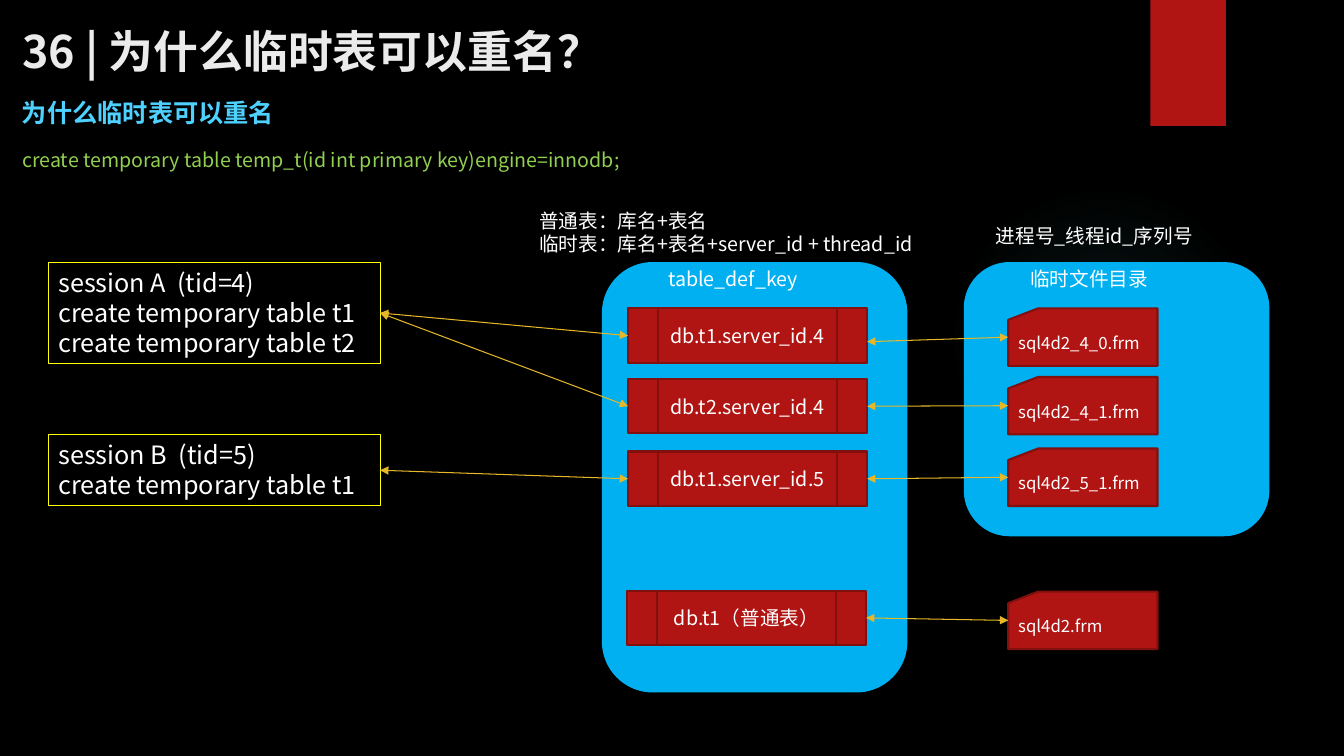
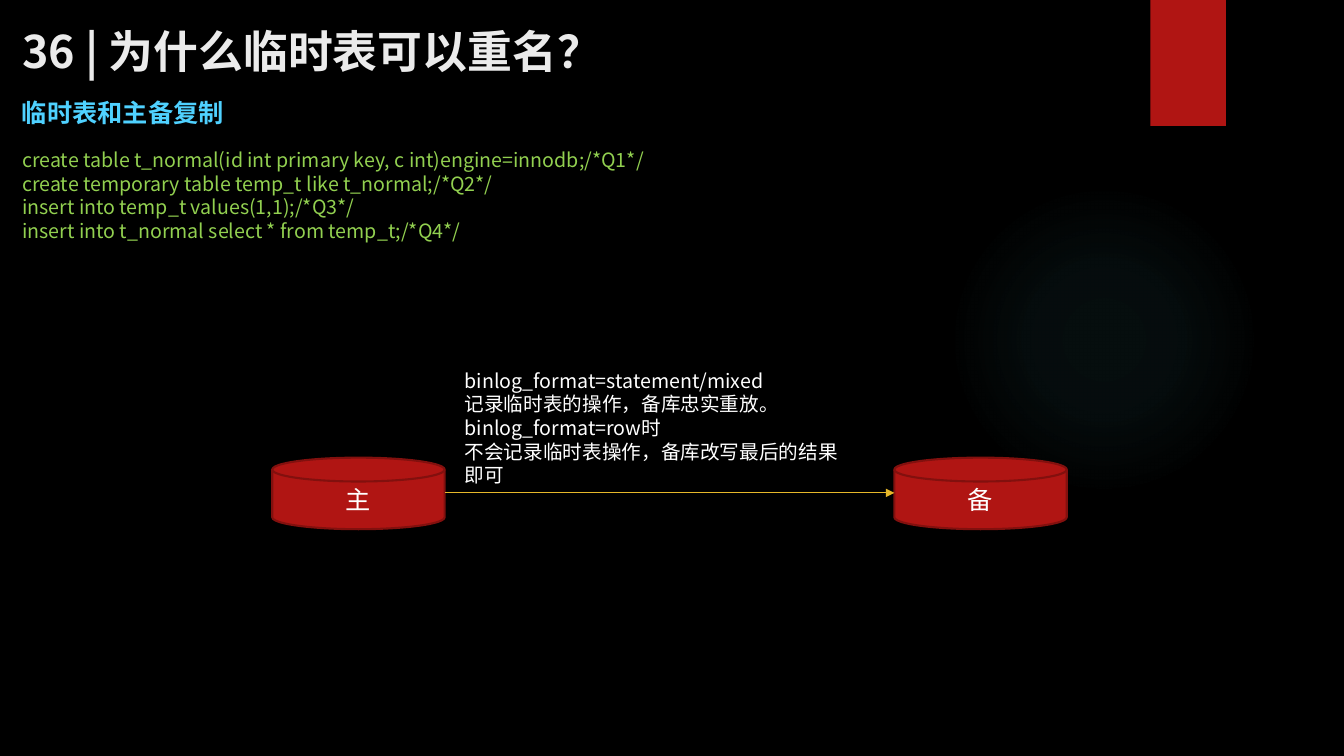
from dataclasses import dataclass
from typing import NamedTuple

import lxml.etree
import pptx
import pptx.dml.color
import pptx.enum.shapes
import pptx.enum.text
import pptx.oxml
import pptx.oxml.ns
import pptx.slide
import pptx.util

Shape = pptx.enum.shapes.MSO_SHAPE
Align = pptx.enum.text.PP_ALIGN
Anchor = pptx.enum.text.MSO_ANCHOR
qn = pptx.oxml.ns.qn

EMU_PER_PX = 9144  # 100 px to the inch
LEFT_SITE, RIGHT_SITE = 1, 3


@dataclass(frozen=True)
class Style:
    size: int
    color: str
    bold: bool = False


@dataclass(frozen=True)
class Theme:
    font: str = "Noto Sans CJK SC"
    background: str = "000000"
    accent: str = "B01513"
    accent_edge: str = "82100E"
    panel: str = "00B0F0"
    session_edge: str = "FFFF00"
    arrow: str = "E6B729"
    glow: str = "50B9C1"
    title: Style = Style(32, "EBEBEB", True)
    heading: Style = Style(18, "4FD1FF", True)
    sql: Style = Style(14, "92D050")
    large: Style = Style(18, "FFFFFF")
    label: Style = Style(14, "FFFFFF")
    small: Style = Style(12, "FFFFFF")


THEME = Theme()


class Point(NamedTuple):
    x: int
    y: int


class Box(NamedTuple):
    left: int
    top: int
    width: int
    height: int

    def emu(self) -> list[int]:
        return [px(length) for length in self]

    def left_middle(self) -> Point:
        return Point(self.left, self.top + self.height // 2)

    def right_middle(self) -> Point:
        return Point(self.left + self.width, self.top + self.height // 2)


class TableRow(NamedTuple):
    """One table: its definition key, its file, and where they stand."""
    key: str
    file: str
    key_left: int
    key_top: int
    file_top: int
    start_drop: int = 0


class Session(NamedTuple):
    box: Box
    lines: list[str]
    table_indexes: list[int]


TABLES = [
    TableRow("db.t1.server_id.4", "sql4d2_4_0.frm", 623, 306, 306, 6),
    TableRow("db.t2.server_id.4", "sql4d2_4_1.frm", 623, 376, 374),
    TableRow("db.t1.server_id.5", "sql4d2_5_1.frm", 623, 448, 445),
    TableRow("db.t1（普通表）", "sql4d2.frm", 622, 586, 587),
]
SESSIONS = [
    Session(Box(48, 260, 329, 101),
            ["session A  (tid=4)", "create temporary table t1", "create temporary table t2"],
            [0, 1]),
    Session(Box(48, 431, 329, 71),
            ["session B  (tid=5)", "create temporary table t1"],
            [2]),
]


def px(length: int) -> pptx.util.Emu:
    return pptx.util.Emu(length * EMU_PER_PX)


def rgb(color: str) -> pptx.dml.color.RGBColor:
    return pptx.dml.color.RGBColor.from_string(color)


def write(frame, lines: list[str], style: Style, align=Align.LEFT, anchor=Anchor.TOP) -> None:
    """Fill a text frame with one unbulleted paragraph a line."""
    frame.word_wrap = True
    frame.auto_size = pptx.enum.text.MSO_AUTO_SIZE.NONE
    frame.vertical_anchor = anchor
    for index, line in enumerate(lines):
        paragraph = frame.paragraphs[0] if index == 0 else frame.add_paragraph()
        paragraph.text = line
        paragraph.alignment = align
        paragraph.space_before = pptx.util.Pt(0)
        properties = paragraph._p.get_or_add_pPr()
        properties.set("marL", "0")
        properties.set("indent", "0")
        lxml.etree.SubElement(properties, qn("a:buNone"))
        font = paragraph.font
        font.name = THEME.font
        font.size = pptx.util.Pt(style.size)
        font.bold = style.bold
        font.color.rgb = rgb(style.color)
        east_asian = lxml.etree.SubElement(properties.find(qn("a:defRPr")), qn("a:ea"))
        east_asian.set("typeface", THEME.font)


def add_label(slide: pptx.slide.Slide, box: Box, lines: list[str], style: Style) -> None:
    write(slide.shapes.add_textbox(*box.emu()).text_frame, lines, style)


def add_block(slide: pptx.slide.Slide, kind, box: Box, fill: str | None = None,
              edge: str | None = None, edge_width: float = 1.5):
    block = slide.shapes.add_shape(kind, *box.emu())
    block.shadow.inherit = False
    if fill:
        block.fill.solid()
        block.fill.fore_color.rgb = rgb(fill)
    else:
        block.fill.background()
    if edge:
        block.line.color.rgb = rgb(edge)
        block.line.width = pptx.util.Pt(edge_width)
    else:
        block.line.fill.background()
    return block


def add_node(slide: pptx.slide.Slide, kind, box: Box, text: str, style: Style,
             align=Align.CENTER):
    """Draw a red block with one line of text."""
    node = add_block(slide, kind, box, THEME.accent, THEME.accent_edge)
    write(node.text_frame, [text], style, align, Anchor.MIDDLE)
    return node


def add_arrow(slide: pptx.slide.Slide, start: Point, end: Point, both_ways: bool = True):
    arrow = slide.shapes.add_connector(
        pptx.enum.shapes.MSO_CONNECTOR.STRAIGHT, *(px(n) for n in (*start, *end)))
    arrow.line.color.rgb = rgb(THEME.arrow)
    arrow.line.width = pptx.util.Pt(0.75)
    for tag in ["a:headEnd", "a:tailEnd"] if both_ways else ["a:tailEnd"]:
        lxml.etree.SubElement(arrow.line._get_or_add_ln(), qn(tag)).set("type", "triangle")
    lxml.etree.SubElement(arrow._element.spPr, qn("a:effectLst"))
    return arrow


def add_glow(slide: pptx.slide.Slide) -> None:
    glow = add_block(slide, Shape.OVAL, Box(941, 183, 308, 308))
    stops = "".join(
        f'<a:gs pos="{position * 1000}"><a:srgbClr val="{THEME.glow}">'
        f'<a:alpha val="{alpha * 1000}"/></a:srgbClr></a:gs>'
        for position, alpha in [(0, 7), (36, 6), (69, 0)])
    gradient = pptx.oxml.parse_xml(
        f'<a:gradFill {pptx.oxml.ns.nsdecls("a")}><a:gsLst>{stops}</a:gsLst>'
        '<a:path path="circle"><a:fillToRect l="50000" t="50000" r="50000" b="50000"/>'
        '</a:path></a:gradFill>')
    properties = glow._element.spPr
    properties.replace(properties.find(qn("a:noFill")), gradient)


def add_topic_slide(deck, heading: str, sql: list[str], sql_height: int) -> pptx.slide.Slide:
    """Add a slide with the shared decoration, title, heading and SQL list."""
    slide = deck.slides.add_slide(deck.slide_layouts[1])
    add_glow(slide)
    add_block(slide, Shape.RECTANGLE, Box(1141, 0, 75, 125), THEME.accent)
    title, body = slide.shapes.title, slide.placeholders[1]
    for holder, box in [(title, Box(12, 17, 1219, 66)), (body, Box(12, 142, 1045, sql_height))]:
        holder.left, holder.top, holder.width, holder.height = box.emu()
    write(title.text_frame, ["36 | 为什么临时表可以重名？"], THEME.title, anchor=Anchor.MIDDLE)
    write(body.text_frame, sql, THEME.sql)
    add_label(slide, Box(12, 92, 300, 40), [heading], THEME.heading)
    return slide


def add_naming_slide(deck) -> None:
    slide = add_topic_slide(
        deck, "为什么临时表可以重名",
        ["create temporary table temp_t(id int primary key)engine=innodb;"], 34)

    for left, height, caption in [(597, 427, "table_def_key"), (956, 272, "临时文件目录")]:
        add_block(slide, Shape.ROUNDED_RECTANGLE, Box(left, 260, 303, height), THEME.panel)
        add_label(slide, Box(left + 56, 260, 192, 34), [caption], THEME.label)
    add_label(slide, Box(978, 217, 254, 34), ["进程号_线程id_序列号"], THEME.label)
    add_label(slide, Box(525, 202, 431, 57),
              ["普通表：库名+表名", "临时表：库名+表名+server_id + thread_id"], THEME.label)

    keys = []
    for row in TABLES:
        key_box = Box(row.key_left, row.key_top, 237, 54)
        file_box = Box(1000, row.file_top, 148, 57)
        key = add_node(slide, Shape.FLOWCHART_PREDEFINED_PROCESS, key_box, row.key, THEME.label)
        file = add_node(slide, Shape.FLOWCHART_CARD, file_box, row.file, THEME.small, Align.LEFT)
        start = key_box.right_middle()
        arrow = add_arrow(slide, Point(start.x, start.y + row.start_drop),
                          file_box.left_middle())
        if not row.start_drop:
            arrow.begin_connect(key, RIGHT_SITE)
        arrow.end_connect(file, LEFT_SITE)
        keys.append((key, key_box))

    for session in SESSIONS:
        block = add_block(slide, Shape.RECTANGLE, session.box,
                          edge=THEME.session_edge, edge_width=0.75)
        write(block.text_frame, session.lines, THEME.large)
        for index in session.table_indexes:
            key, key_box = keys[index]
            arrow = add_arrow(slide, session.box.right_middle(), key_box.left_middle())
            arrow.begin_connect(block, RIGHT_SITE)
            arrow.end_connect(key, LEFT_SITE)


def add_replication_slide(deck) -> None:
    slide = add_topic_slide(
        deck, "临时表和主备复制",
        ["create table t_normal(id int primary key, c int)engine=innodb;/*Q1*/",
         "create temporary table temp_t like t_normal;/*Q2*/",
         "insert into temp_t values(1,1);/*Q3*/",
         "insert into t_normal select * from temp_t;/*Q4*/"], 104)
    primary, standby = Box(270, 454, 171, 71), Box(887, 454, 171, 71)
    for box, role in [(primary, "主"), (standby, "备")]:
        add_node(slide, Shape.FLOWCHART_MAGNETIC_DISK, box, role, THEME.large)
    add_arrow(slide, primary.right_middle(), standby.left_middle(), both_ways=False)
    add_label(slide, Box(451, 361, 401, 128),
              ["binlog_format=statement/mixed",
               "记录临时表的操作，备库忠实重放。",
               "binlog_format=row时",
               "不会记录临时表操作，备库改写最后的结果即可"], THEME.label)


def main() -> None:
    deck = pptx.Presentation()
    deck.slide_width, deck.slide_height = px(1333), px(750)
    background = deck.slide_master.background.fill
    background.solid()
    background.fore_color.rgb = rgb(THEME.background)
    add_naming_slide(deck)
    add_replication_slide(deck)
    deck.save("out.pptx")


if __name__ == "__main__":
    main()
